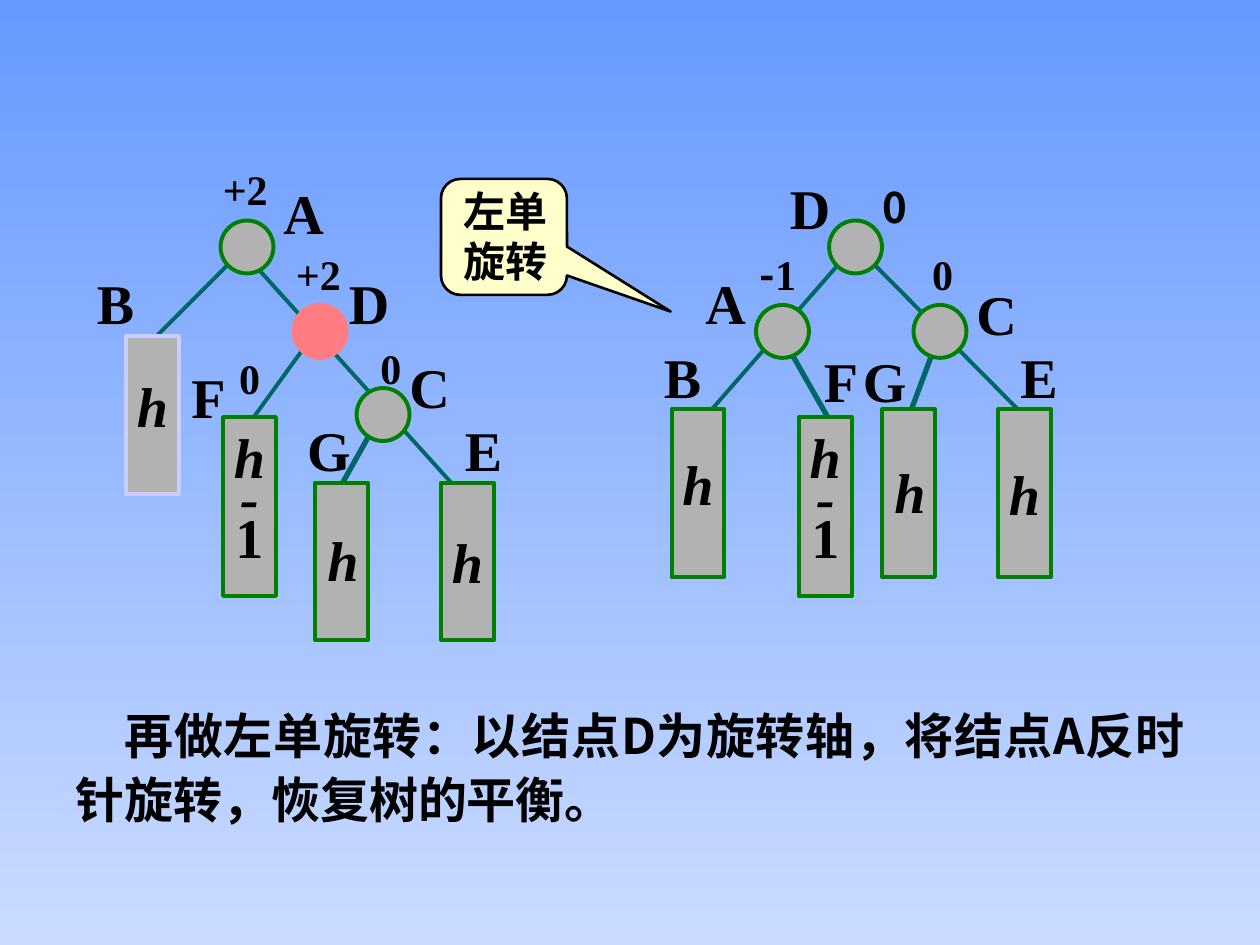
import pptx
import pptx.util
import pptx.dml.color
import pptx.enum.dml
import pptx.enum.shapes
import pptx.enum.text
import pptx.oxml
import pptx.oxml.ns

Inches = pptx.util.Inches
Pt = pptx.util.Pt
RGBColor = pptx.dml.color.RGBColor
Shape = pptx.enum.shapes.MSO_SHAPE
Align = pptx.enum.text.PP_ALIGN
Auto = pptx.enum.text.MSO_AUTO_SIZE

BLACK = RGBColor(0x00, 0x00, 0x00)
GRAY = RGBColor(0xB2, 0xB2, 0xB2)
GREEN = RGBColor(0x00, 0x80, 0x00)
TEAL = RGBColor(0x00, 0x66, 0x66)
CORAL = RGBColor(0xFF, 0x7C, 0x80)
LILAC = RGBColor(0xCC, 0xCC, 0xFF)
CREAM = RGBColor(0xFF, 0xFF, 0xCC)
SKY = RGBColor(0x66, 0x99, 0xFF)
PALE = RGBColor(0xCA, 0xDB, 0xFF)
SERIF = "Times New Roman"
SANS = "Noto Sans CJK SC"


def write(para, text, size=32, face=SERIF, slant=False):
    run = para.add_run()
    run.text = text
    font = run.font
    font.size, font.name = Pt(size), face
    font.bold, font.italic = True, slant
    font.color.rgb = BLACK
    asian = pptx.oxml.parse_xml(
        f'<a:ea {pptx.oxml.ns.nsdecls("a")} typeface="{SANS}"/>')
    run._r.get_or_add_rPr().append(asian)


def draw(kind, left, top, width, height, fill=GRAY, edge=GREEN, weight=2.25):
    shape = slide.shapes.add_shape(
        kind, Inches(left), Inches(top), Inches(width), Inches(height))
    shape.shadow.inherit = False
    shape.fill.solid()
    shape.fill.fore_color.rgb = fill
    shape.line.color.rgb = edge
    shape.line.width = Pt(weight)
    return shape


deck = pptx.Presentation()
deck.slide_width, deck.slide_height = Inches(10), Inches(7.5)
slide = deck.slides.add_slide(deck.slide_layouts[1])
title = slide.shapes.title
title.element.getparent().remove(title.element)

# Background fading from top to bottom
back = slide.background.fill
back.gradient()
back.gradient_angle = 270
for stop, color, place in zip(back.gradient_stops, (SKY, PALE), (0, 1)):
    stop.color.rgb = color
    stop.position = place

# Explanation below the trees
body = slide.placeholders[1]
body.left, body.top = Inches(0.5), Inches(5.5)
body.width, body.height = Inches(9), Inches(1.17)
body.text_frame.auto_size = Auto.NONE
para = body.text_frame.paragraphs[0]
props = para._p.get_or_add_pPr()
props.set("marL", "0")
props.set("indent", str(Inches(0.39)))
props.append(pptx.oxml.parse_xml(f'<a:buNone {pptx.oxml.ns.nsdecls("a")}/>'))
para.alignment = Align.JUSTIFY
para.line_spacing = 1.1
para.space_before = Pt(0)
write(para, "再做左单旋转：以结点D为旋转轴，将结点A反时针旋转，恢复树的平衡。",
      size=28, face=SANS)

# Branches: start x, y, end x, y, weight
for x1, y1, x2, y2, weight in (
        (1.83, 2.08, 1.08, 2.83, 2.25), (2, 2.08, 3.58, 3.83, 2.25),
        (2.42, 2.75, 2, 3.33, 2.25), (3, 3.33, 2.67, 3.92, 3),
        (6.67, 2.08, 5.5, 3.42, 2.25), (6.92, 2.08, 8.08, 3.25, 2.25),
        (6.25, 2.75, 6.58, 3.33, 3), (7.42, 2.75, 7.17, 3.42, 3)):
    line = slide.shapes.add_connector(
        pptx.enum.shapes.MSO_CONNECTOR.STRAIGHT,
        Inches(x1), Inches(y1), Inches(x2), Inches(y2))
    line.line.color.rgb = TEAL
    line.line.width = Pt(weight)
    line._element.spPr.append(pptx.oxml.parse_xml(
        f'<a:effectLst {pptx.oxml.ns.nsdecls("a")}/>'))

# Nodes
for x, y, fill, edge in (
        (1.75, 1.75, GRAY, GREEN), (2.33, 2.42, CORAL, CORAL),
        (2.83, 3.08, GRAY, GREEN), (6.58, 1.75, GRAY, GREEN),
        (6, 2.42, GRAY, GREEN), (7.25, 2.42, GRAY, GREEN)):
    draw(Shape.OVAL, x, y, 0.42, 0.42, fill, edge)

# Subtrees: left, top, height, text, line spacing, edge
for x, y, tall, text, gap, edge in (
        (1, 2.67, 1.25, "h", 0.6, LILAC), (1.77, 3.31, 1.42, "h-1", 0.6, GREEN),
        (2.5, 3.83, 1.25, "", 1, GREEN), (3.5, 3.83, 1.25, "h", 1, GREEN),
        (5.33, 3.25, 1.33, "h", 0.6, GREEN), (6.34, 3.31, 1.42, "h-1", 0.6, GREEN),
        (7, 3.25, 1.33, "", 1, GREEN), (7.92, 3.25, 1.33, "h", 1, GREEN)):
    frame = draw(Shape.RECTANGLE, x, y, 0.42, tall, edge=edge).text_frame
    frame.word_wrap = False
    for i, sign in enumerate(text):
        para = frame.add_paragraph() if i else frame.paragraphs[0]
        para.alignment = Align.CENTER
        para.line_spacing = gap
        write(para, sign, slant=sign != "1")

# Callout naming the rotation
call = draw(Shape.ROUNDED_RECTANGULAR_CALLOUT, 3.5, 1.42, 1, 0.92,
            CREAM, BLACK, 1.5)
for i, value in enumerate((1.323, 0.644, 0.167)):
    call.adjustments[i] = value
box = slide.shapes.add_textbox(Inches(3.58), Inches(1.42), Inches(1), Inches(0.9))
box.text_frame.word_wrap = True
write(box.text_frame.paragraphs[0], "左单", size=24)
write(box.text_frame.add_paragraph(), "旋转", size=24)

# Node names, balance factors and heights: text, left, top
wide = {"A": 0.52, "B": 0.49, "C": 0.52, "D": 0.52, "E": 0.49, "F": 0.47,
        "G": 0.54, "h": 0.45, "0": 0.36, "+2": 0.6, "-1": 0.6}
for text, x, y in (
        ("A", 2.15, 1.37), ("B", 0.67, 2.08), ("C", 3.15, 2.75),
        ("D", 2.67, 2.08), ("E", 3.59, 3.25), ("F", 1.42, 2.83),
        ("G", 2.34, 3.25), ("h", 2.5, 4.12), ("+2", 1.67, 1.25),
        ("+2", 2.25, 1.92), ("0", 1.8, 2.75), ("0", 2.92, 2.67),
        ("A", 5.5, 2.08), ("B", 5.17, 2.67), ("C", 7.65, 2.17),
        ("D", 6.17, 1.33), ("E", 8, 2.67), ("F", 6.44, 2.7),
        ("G", 6.75, 2.7), ("h", 7, 3.58), ("-1", 5.93, 1.92),
        ("0", 6.91, 1.39), ("0", 7.3, 1.92)):
    size = 32 if text.isalpha() else 24
    box = slide.shapes.add_textbox(
        Inches(x), Inches(y), Inches(wide[text]), Inches(size / 50))
    box.text_frame.word_wrap = False
    para = box.text_frame.paragraphs[0]
    for sign in (text if text == "-1" else [text]):
        root = sign == "0" and y < 1.5
        write(para, sign, size=size, slant=sign == "h",
              face=SANS if root or sign == "-" else SERIF)

deck.save("out.pptx")
